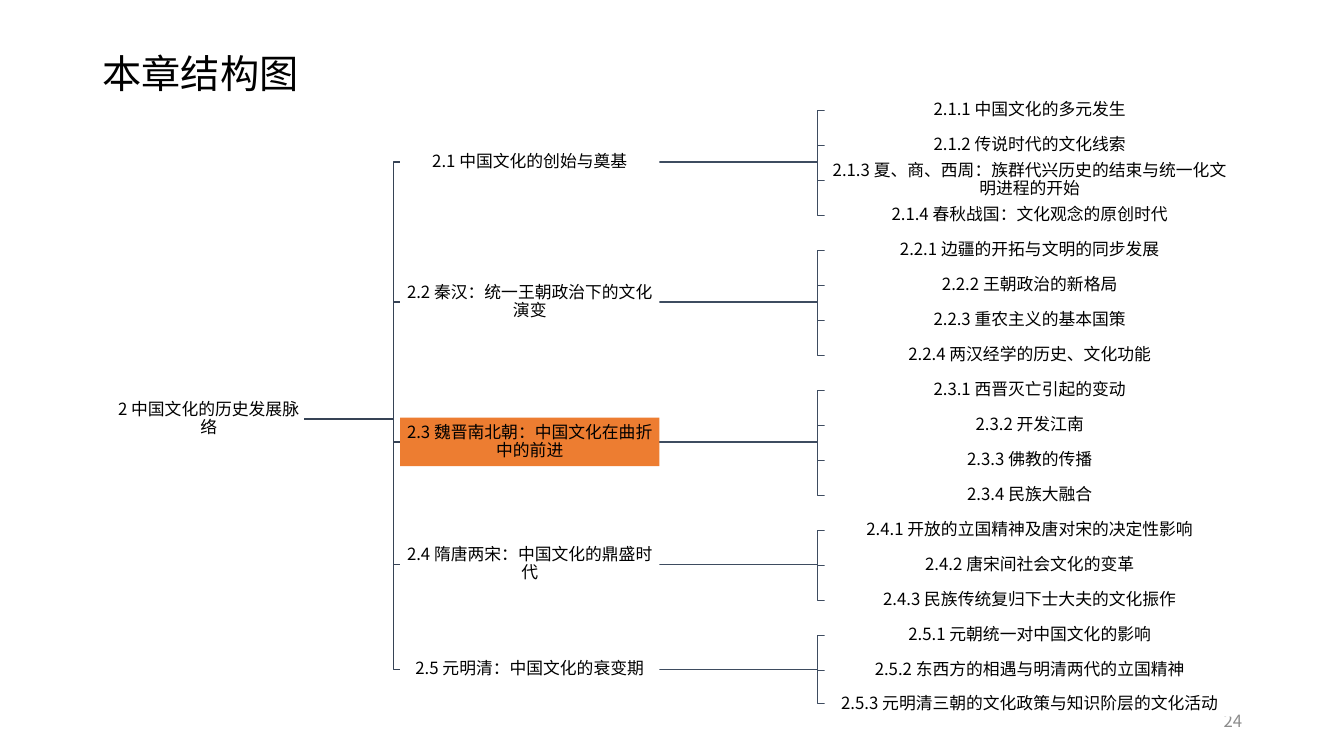
from lxml.etree import SubElement
from pptx import Presentation
from pptx.dml.color import RGBColor
from pptx.enum.shapes import MSO_SHAPE
from pptx.enum.text import MSO_ANCHOR, PP_ALIGN
from pptx.oxml.ns import qn
from pptx.util import Inches, Pt

BLACK = RGBColor(0x00, 0x00, 0x00)
GRAY = RGBColor(0x8C, 0x8C, 0x8C)
WHITE = RGBColor(0xFF, 0xFF, 0xFF)
ORANGE = RGBColor(0xED, 0x7D, 0x31)
NAVY = RGBColor(0x36, 0x43, 0x55)
SLATE = RGBColor(0x3E, 0x4C, 0x60)

ROOT = "中国文化的历史发展脉络"
TREE = {
    "中国文化的创始与奠基": [
        "中国文化的多元发生",
        "传说时代的文化线索",
        "夏、商、西周：族群代兴历史的结束与统一化文明进程的开始",
        "春秋战国：文化观念的原创时代",
    ],
    "秦汉：统一王朝政治下的文化演变": [
        "边疆的开拓与文明的同步发展",
        "王朝政治的新格局",
        "重农主义的基本国策",
        "两汉经学的历史、文化功能",
    ],
    "魏晋南北朝：中国文化在曲折中的前进": [
        "西晋灭亡引起的变动",
        "开发江南",
        "佛教的传播",
        "民族大融合",
    ],
    "隋唐两宋：中国文化的鼎盛时代": [
        "开放的立国精神及唐对宋的决定性影响",
        "唐宋间社会文化的变革",
        "民族传统复归下士大夫的文化振作",
    ],
    "元明清：中国文化的衰变期": [
        "元朝统一对中国文化的影响",
        "东西方的相遇与明清两代的立国精神",
        "元明清三朝的文化政策与知识阶层的文化活动",
    ],
}
CHAPTER, ACTIVE = 2, 3
TOP, STEP, LAST, LIFT = 14.6, 4.63, 93.07, 0.13
ROOT_MID = 55.4
ROOT_BOX = (8.4, 14.25, 9.47)
STEM_BOX = (29.78, 19.28, 6.4)
LEAF_BOX = (61.35, 30.53, 3.47)
ELBOW = 0.5


class Chart:
    """Draw a tree on a slide measured as 100 columns by 100 rows."""

    font = "Noto Sans CJK SC"
    frame = {"word_wrap": True, "vertical_anchor": MSO_ANCHOR.MIDDLE}
    inset = ("margin_left", "margin_right", "margin_top", "margin_bottom")

    def __init__(self, deck):
        self.slide = deck.slides.add_slide(deck.slide_layouts[6])
        self.col = deck.slide_width / 100
        self.row = deck.slide_height / 100

    def spot(self, x, y):
        return round(x * self.col), round(y * self.row)

    def letter(self, shape, text, size, color, para):
        frame = shape.text_frame
        for key, value in self.frame.items():
            setattr(frame, key, value)
        line = frame.paragraphs[0]
        for key, value in para.items():
            setattr(line, key, value)
        run = line.add_run()
        run.text = text
        run.font.color.rgb = color
        for key, value in {"size": Pt(size), "name": self.font}.items():
            setattr(run.font, key, value)
        SubElement(run._r.get_or_add_rPr(), qn("a:ea"), typeface=self.font)

    def label(self, text, x, y, wide, high, size, color, para):
        box = self.slide.shapes.add_textbox(*self.spot(x, y), *self.spot(wide, high))
        self.letter(box, text, size, color, para)

    def node(self, text, place, mid, fill=None):
        x, wide, high = place
        box = self.slide.shapes.add_shape(
            MSO_SHAPE.RECTANGLE, *self.spot(x, mid - high / 2), *self.spot(wide, high)
        )
        box.shadow.inherit = False
        box.line.fill.background()
        if fill is None:
            box.fill.background()
        else:
            box.fill.solid()
            box.fill.fore_color.rgb = fill
        for side in self.inset:
            setattr(box.text_frame, side, Inches(0.01))
        para = {"alignment": PP_ALIGN.CENTER, "line_spacing": 0.9, "space_after": Pt(4.2)}
        self.letter(box, text, 12, BLACK, para)

    def link(self, start, from_y, end, to_y, color):
        left, right = start[0] + start[1], end[0]
        bend = right - ELBOW
        pen = self.slide.shapes.build_freeform(*self.spot(left, from_y), scale=1.0)
        turns = [(bend, from_y), (bend, to_y), (right, to_y)]
        pen.add_line_segments([self.spot(*turn) for turn in turns], close=False)
        wire = pen.convert_to_shape()
        wire.shadow.inherit = False
        wire.fill.background()
        wire.line.color.rgb = color
        wire.line.width = Pt(1)


def number(*parts):
    *digits, name = parts
    return ".".join(map(str, digits)) + chr(160) + name


def main():
    deck = Presentation()
    deck.slide_width, deck.slide_height = Inches(13.33), Inches(7.5)
    chart = Chart(deck)
    chart.label("本章结构图", 6.9, 5.33, 24.68, 9.47, 28, BLACK, {"line_spacing": 0.9})
    chart.label("24", 70.67, 92.67, 22.5, 5.33, 12, GRAY, {"alignment": PP_ALIGN.RIGHT})

    nodes = [(number(CHAPTER, ROOT), ROOT_BOX, ROOT_MID)]
    count = 0
    for i, (stem, leaves) in enumerate(TREE.items(), 1):
        mids = [min(TOP + STEP * (count + k), LAST) for k in range(len(leaves))]
        mid = TOP + STEP * (count + (len(leaves) - 1) / 2) - LIFT
        count += len(leaves)
        chart.link(ROOT_BOX, ROOT_MID, STEM_BOX, mid, NAVY)
        fill = ORANGE if i == ACTIVE else WHITE
        nodes.append((number(CHAPTER, i, stem), STEM_BOX, mid, fill))
        for k, (leaf, y) in enumerate(zip(leaves, mids), 1):
            chart.link(STEM_BOX, mid, LEAF_BOX, y, SLATE)
            nodes.append((number(CHAPTER, i, k, leaf), LEAF_BOX, y, WHITE))
    for node in nodes:
        chart.node(*node)
    deck.save("out.pptx")


if __name__ == "__main__":
    main()
